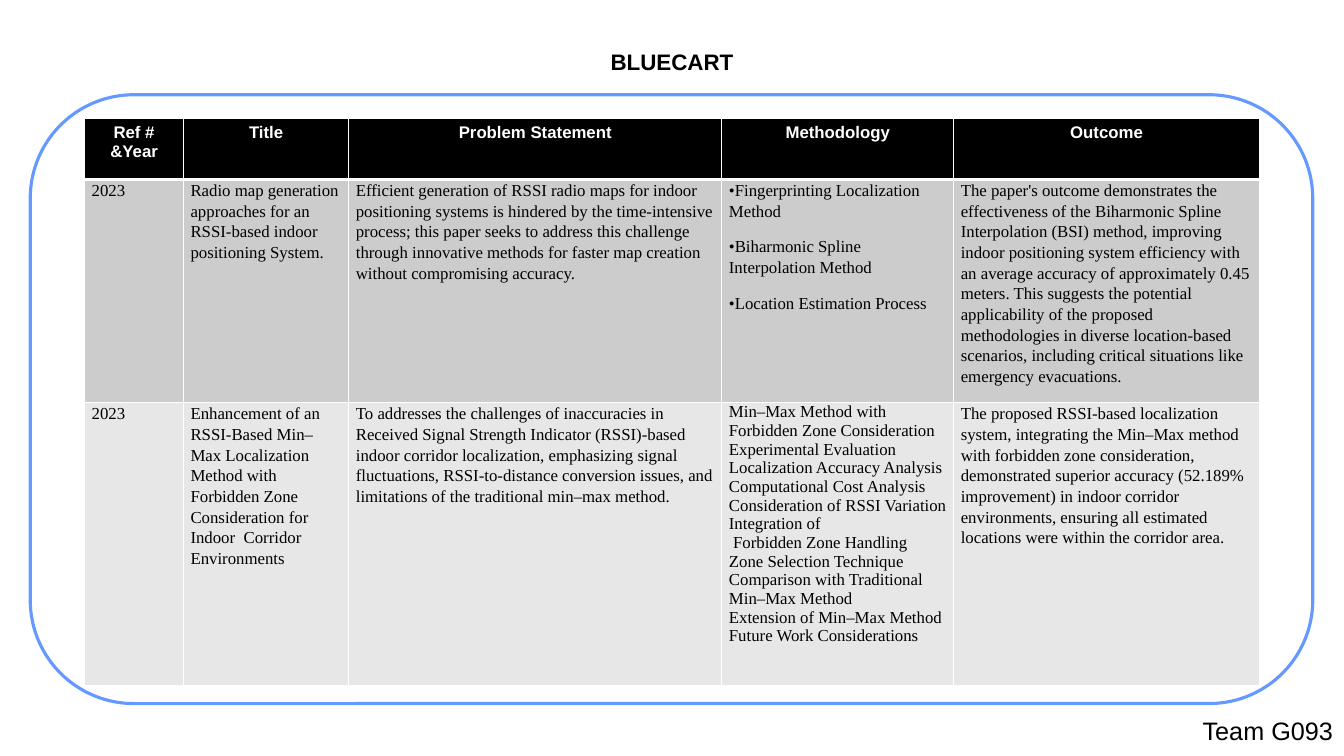
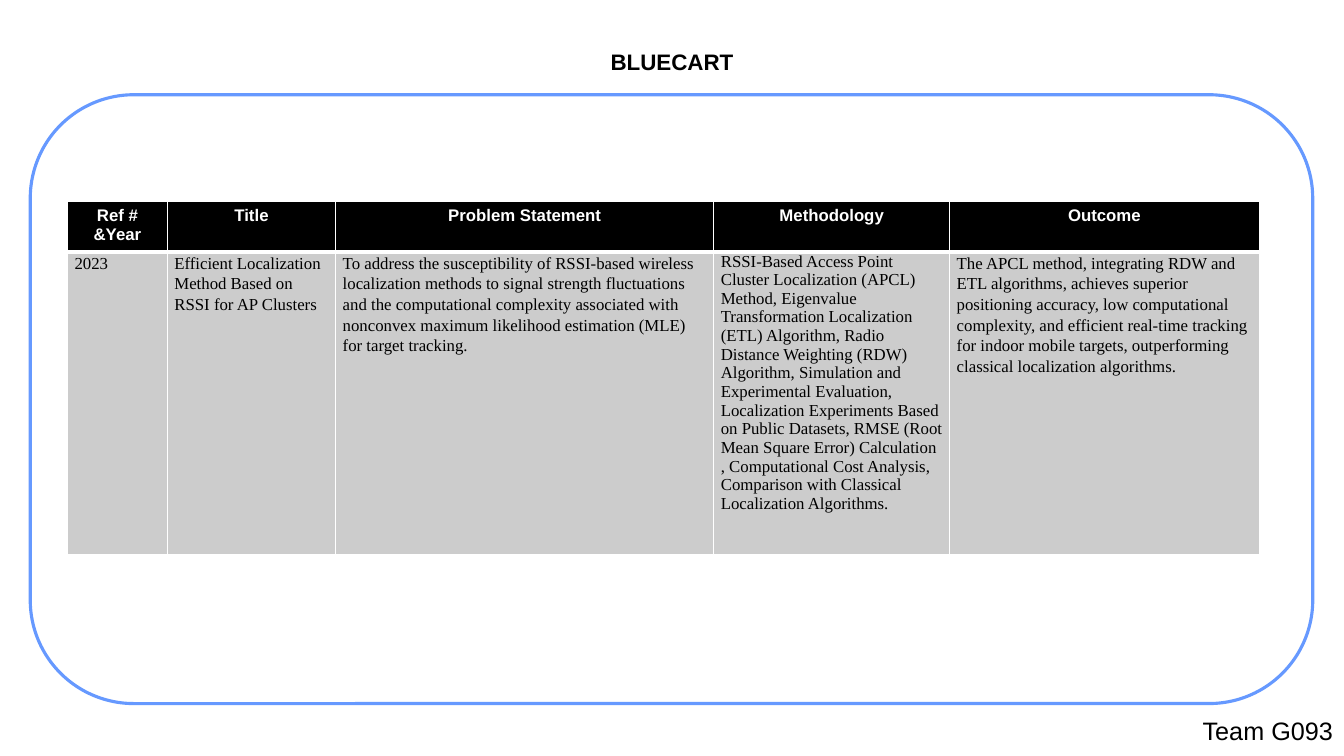
from lxml import etree
from pptx import Presentation
from pptx import util as u
from pptx.dml.color import RGBColor
from pptx.enum import shapes, text
from pptx.oxml import ns

Inches, Pt = u.Inches, u.Pt

BLACK = RGBColor(0x00, 0x00, 0x00)
WHITE = RGBColor(0xFF, 0xFF, 0xFF)
FRAME_BLUE = RGBColor(0x66, 0x99, 0xFF)
BANDS = [RGBColor(0xCC, 0xCC, 0xCC), RGBColor(0xE7, 0xE7, 0xE7)]

# Formats
TITLE = {"name": "Arial", "size": Pt(16), "bold": True}
FOOTER = {"name": "Arial", "size": Pt(18), "bold": False}
HEAD = {"name": "Arial", "size": Pt(12), "bold": True}
BODY = {"name": "Times New Roman", "size": Pt(12), "bold": False}
CENTERED = {"alignment": text.PP_ALIGN.CENTER}
TIGHT = {"alignment": text.PP_ALIGN.LEFT}
SPACED = {**TIGHT, "line_spacing": 1.11, "space_after": Pt(10.7)}
HEAD_MARGINS = {"margin_left": Inches(0.1), "margin_right": Inches(0.1),
                "margin_top": Inches(0.05), "margin_bottom": Inches(0.05)}
BODY_MARGINS = {"margin_left": Inches(0.07), "margin_right": Inches(0.07),
                "margin_top": 0, "margin_bottom": 0}

HEADINGS = ["Ref # &Year", "Title", "Problem Statement", "Methodology", "Outcome"]
METHODOLOGY = HEADINGS.index("Methodology")

# Each paper: year, title, problem, methodology, outcome; a newline starts a paragraph
TABLES = [
    {
        "left": 0.84, "top": 1.17,
        "widths": [0.98, 1.64, 3.7, 2.3, 3.03],
        "heights": [0.61, 2.2, 2.8],
        "papers": [
            [
                "2023",
                "Radio map generation approaches for an RSSI-based indoor "
                "positioning System.",
                "Efficient generation of RSSI radio maps for indoor positioning "
                "systems is hindered by the time-intensive process; this paper "
                "seeks to address this challenge through innovative methods for "
                "faster map creation without compromising accuracy.",
                "•Fingerprinting Localization Method\n"
                "•Biharmonic Spline Interpolation Method\n"
                "•Location Estimation Process",
                "The paper's outcome demonstrates the effectiveness of the "
                "Biharmonic Spline Interpolation (BSI) method, improving indoor "
                "positioning system efficiency with an average accuracy of "
                "approximately 0.45 meters. This suggests the potential "
                "applicability of the proposed methodologies in diverse "
                "location-based scenarios, including critical situations like "
                "emergency evacuations.",
            ],
            [
                "2023",
                "Enhancement of an RSSI‑Based Min–Max Localization Method with "
                "Forbidden Zone Consideration for Indoor  Corridor Environments",
                "To addresses the challenges of inaccuracies in Received Signal "
                "Strength Indicator (RSSI)-based indoor corridor localization, "
                "emphasizing signal fluctuations, RSSI-to-distance conversion "
                "issues, and limitations of the traditional min–max method.",
                "Min–Max Method with Forbidden Zone Consideration\n"
                "Experimental Evaluation\n"
                "Localization Accuracy Analysis\n"
                "Computational Cost Analysis\n"
                "Consideration of RSSI Variation\n"
                "Integration of\n"
                " Forbidden Zone Handling\n"
                "Zone Selection Technique\n"
                "Comparison with Traditional Min–Max Method\n"
                "Extension of Min–Max Method\n"
                "Future Work Considerations",
                "The proposed RSSI-based localization system, integrating the "
                "Min–Max method with forbidden zone consideration, demonstrated "
                "superior accuracy (52.189% improvement) in indoor corridor "
                "environments, ensuring all estimated locations were within the "
                "corridor area.",
            ],
        ],
    },
    {
        "left": 0.67, "top": 2,
        "widths": [0.99, 1.67, 3.75, 2.34, 3.07],
        "heights": [0.5, 3],
        "papers": [
            [
                "2023",
                "Efficient Localization Method Based on RSSI for AP Clusters",
                "To address the susceptibility of RSSI-based wireless "
                "localization methods to signal strength fluctuations and the "
                "computational complexity associated with nonconvex maximum "
                "likelihood estimation (MLE) for target tracking.",
                "RSSI-Based Access Point Cluster Localization (APCL) Method, "
                "Eigenvalue Transformation Localization (ETL) Algorithm, Radio "
                "Distance Weighting (RDW) Algorithm, Simulation and Experimental "
                "Evaluation, Localization Experiments Based on Public Datasets, "
                "RMSE (Root Mean Square Error) Calculation\n"
                ", Computational Cost Analysis, Comparison with Classical "
                "Localization Algorithms.",
                "The APCL method, integrating RDW and ETL algorithms, achieves "
                "superior positioning accuracy, low computational complexity, "
                "and efficient real-time tracking for indoor mobile targets, "
                "outperforming classical localization algorithms.",
            ],
        ],
    },
]


def write(tf, content, font, color, para):
    """Fill a text frame, one paragraph per line of content."""
    for i, line in enumerate(content.split("\n")):
        p = tf.add_paragraph() if i else tf.paragraphs[0]
        r = p.add_run()
        r.text = line
        for key, value in para.items():
            setattr(p, key, value)
        for key, value in font.items():
            setattr(r.font, key, value)
        r.font.color.rgb = color


def add_borders(cell, widths):
    """Draw white cell borders; widths maps L, R, T and B to points."""
    tc_pr = cell._tc.get_or_add_tcPr()
    for side, width in widths.items():
        ln = etree.SubElement(tc_pr, ns.qn(f"a:ln{side}"), w=str(Pt(width)))
        fill = etree.SubElement(ln, ns.qn("a:solidFill"))
        etree.SubElement(fill, ns.qn("a:srgbClr"), val=str(WHITE))


prs = Presentation()
prs.slide_width, prs.slide_height = Inches(13.33), Inches(7.5)

for table in TABLES:
    s = prs.slides.add_slide(prs.slide_layouts[6])

    # Rounded frame
    sp = s.shapes.add_shape(shapes.MSO_SHAPE.ROUNDED_RECTANGLE, Inches(0.3),
                            Inches(0.94), Inches(12.72), Inches(6.04))
    sp.adjustments[0] = 0.17
    sp.shadow.inherit = False
    sp.fill.solid()
    sp.fill.fore_color.rgb = WHITE
    sp.line.color.rgb = FRAME_BLUE
    sp.line.width = Pt(2.25)

    # Title and team name
    for label, box, font, para in [
        ("BLUECART", (4.04, 0.43, 5.25, 0.37), TITLE, CENTERED),
        ("Team G093", (11.83, 7.05, 1.5, 0.4), FOOTER, TIGHT),
    ]:
        tf = s.shapes.add_textbox(*map(Inches, box)).text_frame
        tf.word_wrap = True
        write(tf, label, font, BLACK, para)

    # Paper table
    rows = [HEADINGS] + table["papers"]
    grid = s.shapes.add_table(
        len(rows), len(HEADINGS), Inches(table["left"]), Inches(table["top"]),
        Inches(sum(table["widths"])), Inches(sum(table["heights"]))).table
    for column, width in zip(grid.columns, table["widths"]):
        column.width = Inches(width)
    for row, height in zip(grid.rows, table["heights"]):
        row.height = Inches(height)

    for i, row in enumerate(rows):
        header = i == 0
        for j, content in enumerate(row):
            cell = grid.cell(i, j)
            for key, value in (HEAD_MARGINS if header else BODY_MARGINS).items():
                setattr(cell, key, value)
            add_borders(cell, {"L": 1, "R": 1, "T": 3 if i == 1 else 1,
                               "B": 3 if header else 1})
            cell.fill.solid()
            cell.fill.fore_color.rgb = BLACK if header else BANDS[(i - 1) % 2]
            if header:
                write(cell.text_frame, content, HEAD, WHITE, CENTERED)
            else:
                tight = j == METHODOLOGY and not content.startswith("•")
                write(cell.text_frame, content, BODY, BLACK,
                      TIGHT if tight else SPACED)

prs.save("out.pptx")
